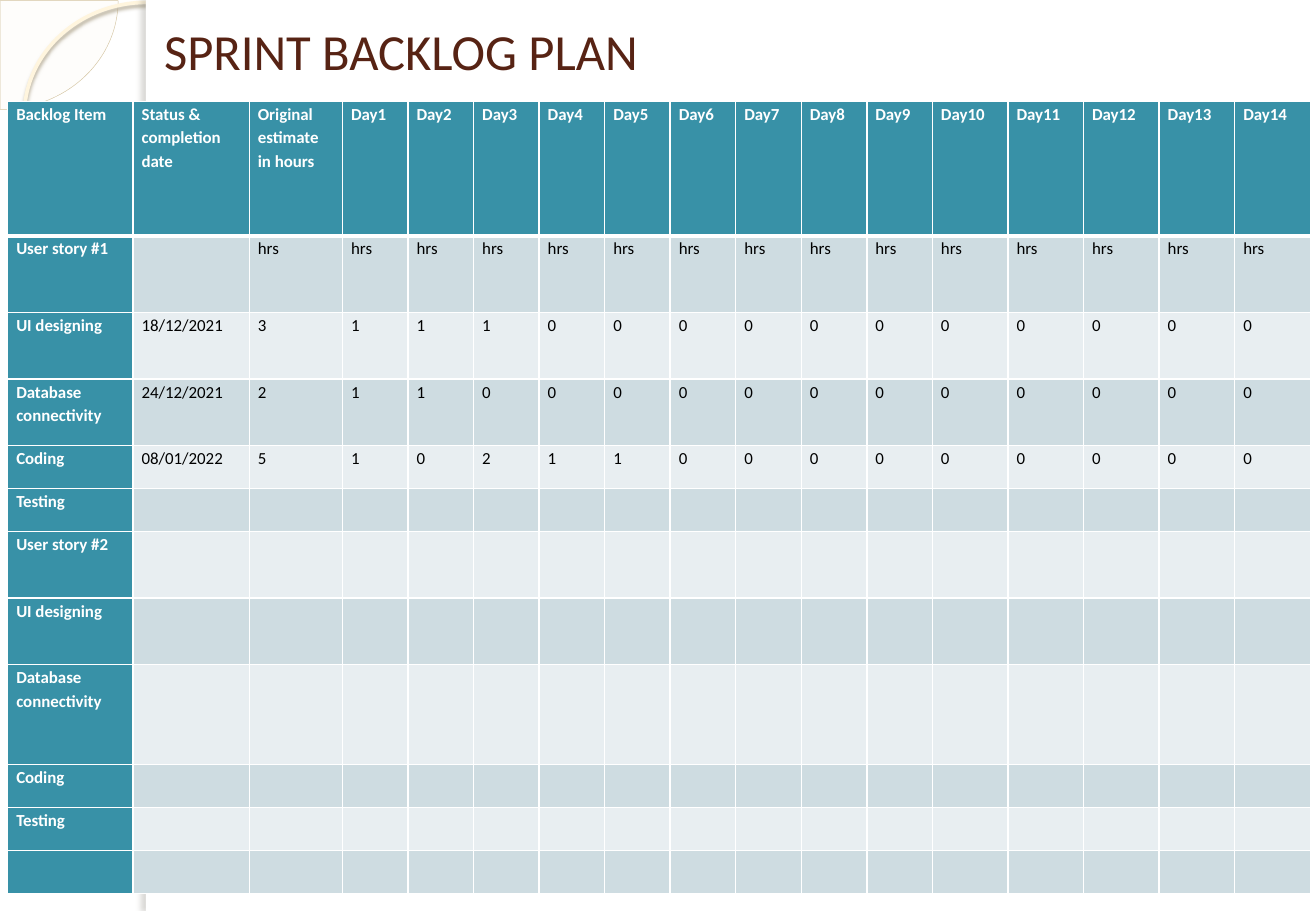
import dataclasses
import typing

import lxml.etree
import pptx
import pptx.dml.color
import pptx.enum.shapes
import pptx.enum.text
import pptx.oxml.ns
import pptx.slide
import pptx.table
import pptx.util

Cm = pptx.util.Cm
Pt = pptx.util.Pt
SHAPE = pptx.enum.shapes.MSO_SHAPE
ANCHOR = pptx.enum.text.MSO_ANCHOR
qn = pptx.oxml.ns.qn

COLORS = {
    "title": "572314",
    "teal": "3891A7",
    "band_dark": "CEDCE1",
    "band_light": "E8EEF1",
    "white": "FFFFFF",
    "black": "000000",
    "petal": "FEFAF4",
    "petal_edge": "D3C39F",
    "ring": "FFF5DE",
    "ring_shadow": "B0A68F",
    "panel_shadow": "736F63",
}
DAYS = 14
COLUMN_WIDTHS = [2.62, 2.43, 1.95] + [1.37] * 9 + [1.58] * 5


@dataclasses.dataclass
class Shadow:
    color: str
    alpha: int
    size: float
    angle: int


@dataclasses.dataclass
class Decoration:
    kind: typing.Any
    box: tuple[float, float, float, float]
    fill: str | None = None
    alpha: int = 100
    line: str | None = None
    line_width: float = 0
    adjustments: tuple[float, ...] = ()
    shadow: Shadow | None = None


@dataclasses.dataclass
class BacklogRow:
    height: float
    item: str = ""
    status: str = ""
    estimate: str = ""
    days: list[str] = dataclasses.field(default_factory=lambda: [""] * DAYS)

    def texts(self) -> list[str]:
        return [self.item, self.status, self.estimate, *self.days]


def hours(*spent: int) -> list[str]:
    return [str(h) for h in spent] + ["0"] * (DAYS - len(spent))


DECORATIONS = [
    Decoration(SHAPE.PIE, (-2.46, -2.26, 4.93, 4.55), "petal", 33,
               "petal_edge", 0.25, (0, 54.02)),
    Decoration(SHAPE.OVAL, (0.51, 0.05, 5.13, 4.72), line="ring", line_width=2.15,
               shadow=Shadow("ring_shadow", 85, 2, 90)),
    Decoration(SHAPE.RECTANGLE, (3.05, 0, 24.46, 19.05), "white"),
    Decoration(SHAPE.RECTANGLE, (3.05, 0, 0.23, 19.05), "white",
               shadow=Shadow("panel_shadow", 25, 3, 180)),
]

BACKLOG = [
    BacklogRow(2.81, "Backlog Item", "Status & completion date",
               "Original estimate in hours", [f"Day{d}" for d in range(1, DAYS + 1)]),
    BacklogRow(1.61, "User story #1", "", "hrs", ["hrs"] * DAYS),
    BacklogRow(1.39, "UI designing", "18/12/2021", "3", hours(1, 1, 1)),
    BacklogRow(1.39, "Database connectivity", "24/12/2021", "2", hours(1, 1)),
    BacklogRow(0.9, "Coding", "08/01/2022", "5", hours(1, 0, 2, 1, 1)),
    BacklogRow(0.9, "Testing"),
    BacklogRow(1.39, "User story #2"),
    BacklogRow(1.39, "UI designing"),
    BacklogRow(2.09, "Database connectivity"),
    BacklogRow(0.9, "Coding"),
    BacklogRow(0.9, "Testing"),
    BacklogRow(0.9),
]


def rgb(name: str) -> pptx.dml.color.RGBColor:
    return pptx.dml.color.RGBColor.from_string(COLORS[name])


def add_node(parent: typing.Any, tag: str, **attrs: typing.Any) -> typing.Any:
    return lxml.etree.SubElement(parent, qn(tag), {k: str(v) for k, v in attrs.items()})


def write_text(tf: typing.Any, text: str, *, size: float, color: str,
               bold: bool = False, spacing: float = 1.0) -> None:
    p = tf.paragraphs[0]
    p.line_spacing = spacing
    r = p.add_run()
    r.text = text
    r.font.name = "Calibri"
    r.font.size = Pt(size)
    r.font.bold = bold
    r.font.color.rgb = rgb(color)


def add_decoration(s: pptx.slide.Slide, d: Decoration) -> None:
    sp = s.shapes.add_shape(d.kind, *map(Cm, d.box))
    sp.shadow.inherit = False
    for i, value in enumerate(d.adjustments):
        sp.adjustments[i] = value
    if d.fill:
        sp.fill.solid()
        sp.fill.fore_color.rgb = rgb(d.fill)
        if d.alpha < 100:
            clr = sp._element.spPr.find(qn("a:solidFill"))[0]
            add_node(clr, "a:alpha", val=d.alpha * 1000)
    else:
        sp.fill.background()
    if d.line:
        sp.line.color.rgb = rgb(d.line)
        sp.line.width = Pt(d.line_width)
    else:
        sp.line.fill.background()
    if d.shadow:
        effects = sp._element.spPr.find(qn("a:effectLst"))
        size = int(Pt(d.shadow.size))
        outer = add_node(effects, "a:outerShdw", blurRad=size, dist=size,
                         dir=d.shadow.angle * 60000, algn="tl", rotWithShape=0)
        clr = add_node(outer, "a:srgbClr", val=COLORS[d.shadow.color])
        add_node(clr, "a:alpha", val=d.shadow.alpha * 1000)


def add_title(s: pptx.slide.Slide) -> None:
    tf = s.shapes.add_textbox(Cm(3.18), Cm(0), Cm(22.96), Cm(2.11)).text_frame
    tf.word_wrap = True
    tf.vertical_anchor = ANCHOR.MIDDLE
    write_text(tf, "SPRINT BACKLOG PLAN", size=30, color="title")


def set_borders(cell: pptx.table._Cell, top: float, bottom: float) -> None:
    tc_pr = cell._tc.get_or_add_tcPr()
    for side, width in (("L", 1), ("R", 1), ("T", top), ("B", bottom)):
        ln = add_node(tc_pr, f"a:ln{side}", w=int(Pt(width)))
        add_node(add_node(ln, "a:solidFill"), "a:srgbClr", val=COLORS["white"])


def fill_cell(cell: pptx.table._Cell, text: str, row: int, col: int) -> None:
    heading = row == 0 or col == 0
    cell.margin_left = cell.margin_right = Cm(0.18)
    cell.margin_top = cell.margin_bottom = Cm(0)
    set_borders(cell, top=3 if row == 1 else 1, bottom=3 if row == 0 else 1)
    cell.fill.solid()
    band = "band_dark" if row % 2 else "band_light"
    cell.fill.fore_color.rgb = rgb("teal" if heading else band)
    if text:
        write_text(cell.text_frame, text, size=10, bold=heading, spacing=1.15,
                   color="white" if heading else "black")


def add_backlog(s: pptx.slide.Slide) -> None:
    height = sum(row.height for row in BACKLOG)
    table = s.shapes.add_table(len(BACKLOG), len(COLUMN_WIDTHS), Cm(0.16), Cm(2.12),
                               Cm(sum(COLUMN_WIDTHS)), Cm(height)).table
    for column, width in zip(table.columns, COLUMN_WIDTHS):
        column.width = Cm(width)
    for r, row in enumerate(BACKLOG):
        table.rows[r].height = Cm(row.height)
        for c, text in enumerate(row.texts()):
            fill_cell(table.cell(r, c), text, r, c)


def main() -> None:
    prs = pptx.Presentation()
    prs.slide_width, prs.slide_height = Cm(27.51), Cm(19.05)
    s = prs.slides.add_slide(prs.slide_layouts[6])
    for d in DECORATIONS:
        add_decoration(s, d)
    add_title(s)
    add_backlog(s)
    prs.save("out.pptx")


if __name__ == "__main__":
    main()
